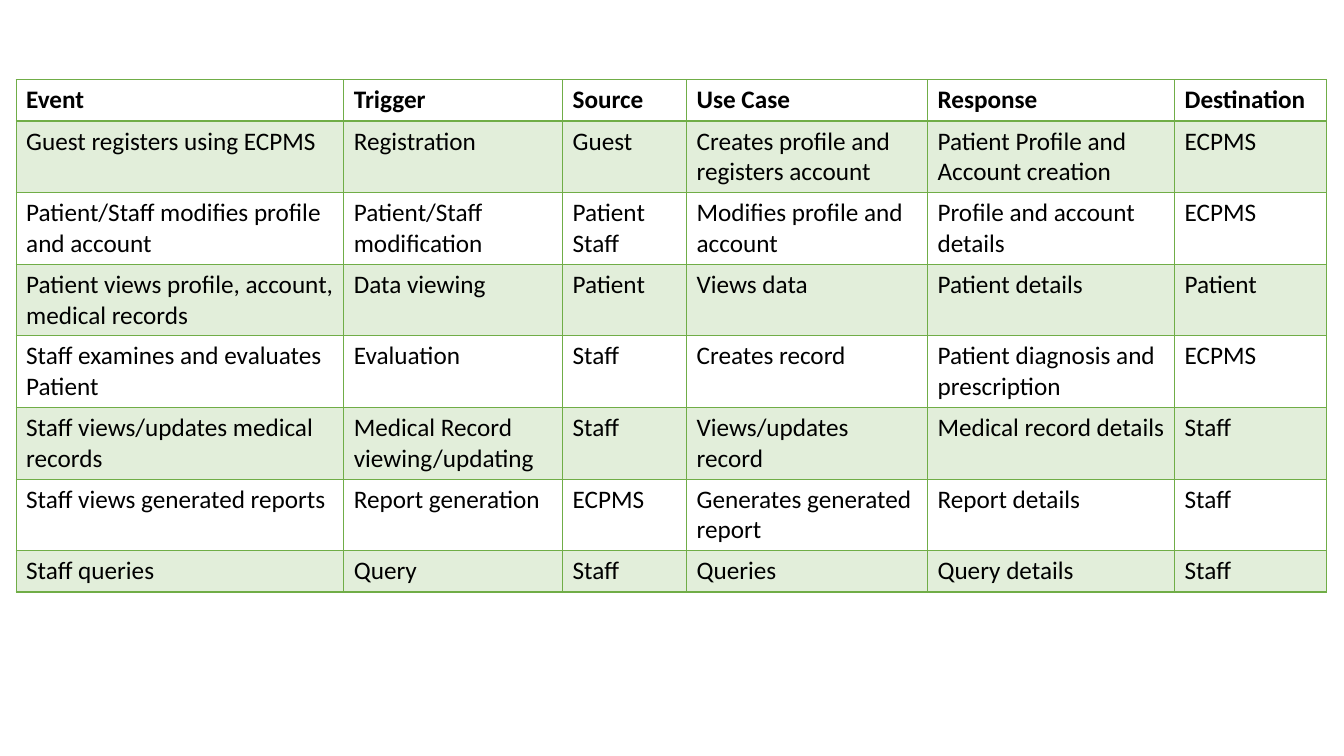
from dataclasses import dataclass

from lxml.etree import SubElement
from pptx import Presentation
from pptx.dml.color import RGBColor
from pptx.oxml.ns import qn
from pptx.util import Inches, Pt


@dataclass(frozen=True)
class Theme:
    """Colours, type and line sizes of the slide."""
    green: str = "70AD47"
    text: str = "000000"
    font: str = "Calibri"
    size: int = 18
    band_opacity: int = 20
    line: int = 1
    header_line: int = 2


THEME = Theme()
COLUMN_WIDTHS = [3.25, 2.17, 1.23, 2.39, 2.45, 1.51]
ROW_HEIGHT = 0.41
EVENTS = [
    ["Event", "Trigger", "Source", "Use Case", "Response", "Destination"],
    ["Guest registers using ECPMS", "Registration", "Guest",
     "Creates profile and registers account",
     "Patient Profile and Account creation", "ECPMS"],
    ["Patient/Staff modifies profile and account", "Patient/Staff modification",
     "Patient\nStaff", "Modifies profile and account",
     "Profile and account details", "ECPMS"],
    ["Patient views profile, account, medical records", "Data viewing",
     "Patient", "Views data", "Patient details", "Patient"],
    ["Staff examines and evaluates Patient", "Evaluation", "Staff",
     "Creates record", "Patient diagnosis and prescription", "ECPMS"],
    ["Staff views/updates medical records", "Medical Record viewing/updating",
     "Staff", "Views/updates record", "Medical record details", "Staff"],
    ["Staff views generated reports", "Report generation", "ECPMS",
     "Generates generated report", "Report details", "Staff"],
    ["Staff queries", "Query", "Staff", "Queries", "Query details", "Staff"],
]


def set_borders(cell, top, bottom):
    """Draw green lines on all four sides of a cell."""
    properties = cell._tc.get_or_add_tcPr()
    widths = {"L": THEME.line, "R": THEME.line, "T": top, "B": bottom}
    for side, width in widths.items():
        line = SubElement(properties, qn(f"a:ln{side}"), w=str(Pt(width)))
        fill = SubElement(line, qn("a:solidFill"))
        SubElement(fill, qn("a:srgbClr"), val=THEME.green)


def set_fill(cell, banded):
    """Give a cell the translucent band colour or leave it clear."""
    if not banded:
        cell.fill.background()
        return
    cell.fill.solid()
    cell.fill.fore_color.rgb = RGBColor.from_string(THEME.green)
    color = cell._tc.tcPr.find(f"{qn('a:solidFill')}/{qn('a:srgbClr')}")
    SubElement(color, qn("a:alpha"), val=str(THEME.band_opacity * 1000))


def set_text(cell, text, bold):
    """Write the text of a cell in the table's type."""
    cell.text = text
    for paragraph in cell.text_frame.paragraphs:
        font = paragraph.font
        font.name = THEME.font
        font.size = Pt(THEME.size)
        font.bold = bold
        font.color.rgb = RGBColor.from_string(THEME.text)


def add_event_table(page, left, top, rows):
    """Add the event table with a bold header and banded rows."""
    frame = page.shapes.add_table(
        len(rows), len(COLUMN_WIDTHS), Inches(left), Inches(top),
        Inches(sum(COLUMN_WIDTHS)), Inches(ROW_HEIGHT * len(rows)))
    table = frame.table
    for column, width in zip(table.columns, COLUMN_WIDTHS):
        column.width = Inches(width)
    for number, texts in enumerate(rows):
        table.rows[number].height = Inches(ROW_HEIGHT)
        top_line = THEME.header_line if number == 1 else THEME.line
        bottom_line = THEME.header_line if number == 0 else THEME.line
        for cell, text in zip(table.rows[number].cells, texts):
            set_text(cell, text, bold=number == 0)
            set_borders(cell, top_line, bottom_line)
            set_fill(cell, banded=number % 2 == 1)


def main():
    """Build and save the slide."""
    deck = Presentation()
    deck.slide_width = Inches(13.33)
    deck.slide_height = Inches(7.5)
    page = deck.slides.add_slide(deck.slide_layouts[6])
    add_event_table(page, 0.16, 0.79, EVENTS)
    deck.save("out.pptx")


main()
